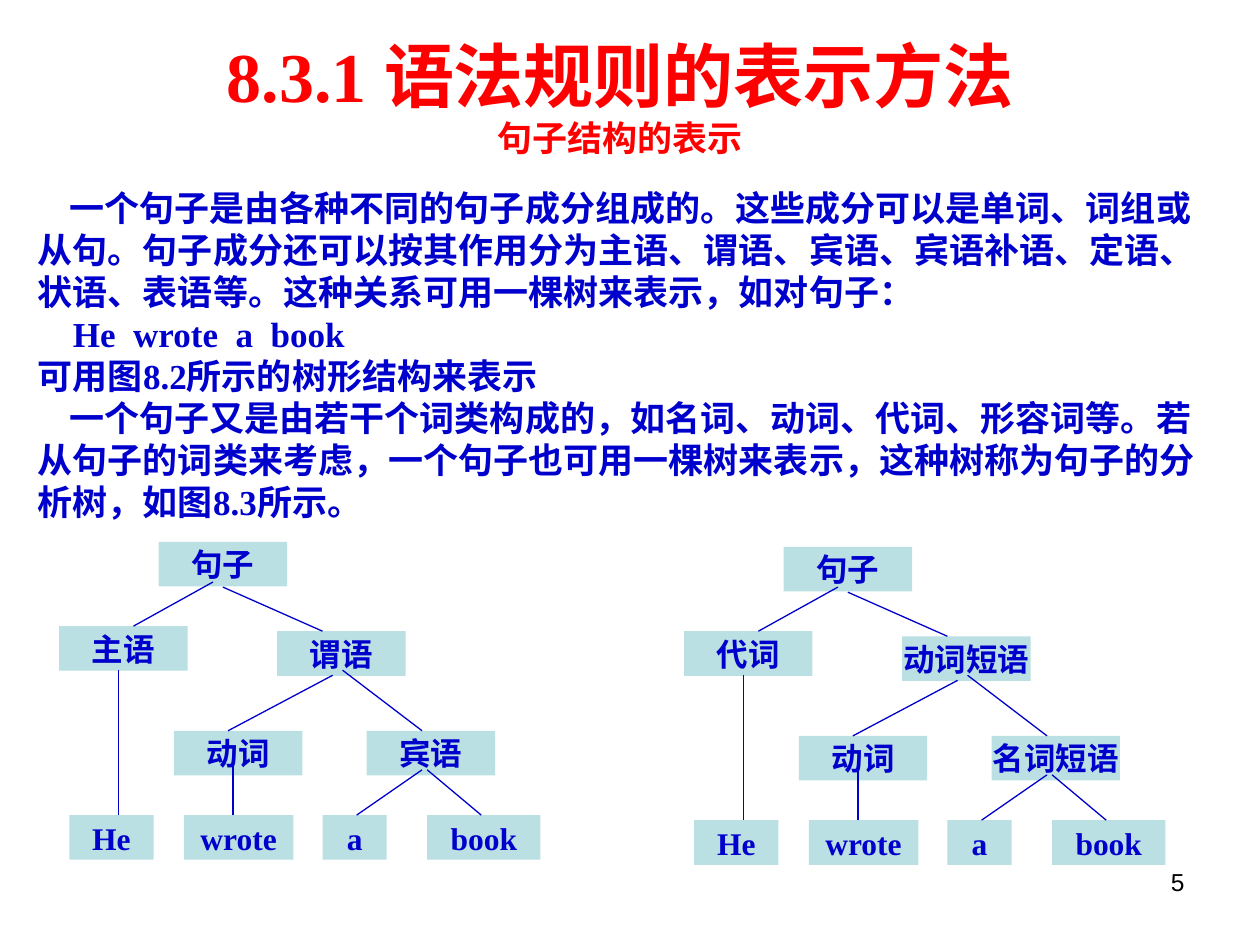
from lxml import etree
from pptx import Presentation
from pptx.dml.color import RGBColor
from pptx.enum import shapes, text
from pptx.oxml import ns
from pptx.util import Pt

HUES = {"red": "FF0000", "blue": "0000CC", "teal": "BBE0E3", "black": "000000"}
SERIF, SANS = "Times New Roman", "Arial"


def hue(name):
    return RGBColor.from_string(HUES[name])


def style(para, size, face, color, bold=True):
    for run in para.runs:
        font = run.font
        font.size, font.name, font.bold = Pt(size), face, bold
        font.color.rgb = hue(color)


prs = Presentation()
prs.slide_width, prs.slide_height = Pt(720), Pt(540)
slide = prs.slides.add_slide(prs.slide_layouts[1])

# Title and subtitle
title = slide.shapes.title
title.left, title.top, title.width, title.height = Pt(85), Pt(15.1), Pt(538.6), Pt(79.2)
frame = title.text_frame
frame.text = "8.3.1 语法规则的表示方法\n句子结构的表示"
frame.auto_size = text.MSO_AUTO_SIZE.SHAPE_TO_FIT_TEXT
frame.vertical_anchor = text.MSO_ANCHOR.MIDDLE
for para, size in zip(frame.paragraphs, (40, 20)):
    para.alignment = text.PP_ALIGN.CENTER
    para.space_before = Pt(0)
    style(para, size, SERIF, "red")

# Body text: wording and first-line indent
lines = [
    ("一个句子是由各种不同的句子成分组成的。这些成分可以是单词、词组或从句。"
     "句子成分还可以按其作用分为主语、谓语、宾语、宾语补语、定语、状语、表语等。"
     "这种关系可用一棵树来表示，如对句子：", 18),
    ("He  wrote  a  book", 20),
    ("可用图8.2所示的树形结构来表示", 0),
    ("一个句子又是由若干个词类构成的，如名词、动词、代词、形容词等。"
     "若从句子的词类来考虑，一个句子也可用一棵树来表示，"
     "这种树称为句子的分析树，如图8.3所示。", 18),
]
body = slide.placeholders[1]
body.left, body.top, body.width, body.height = Pt(14.4), Pt(103), Pt(691.9), Pt(199.4)
frame = body.text_frame
frame.text = "\n".join(line for line, _ in lines)
frame.auto_size = text.MSO_AUTO_SIZE.SHAPE_TO_FIT_TEXT
for para, (_, indent) in zip(frame.paragraphs, lines):
    props = para._p.get_or_add_pPr()
    props.set("marL", "0")
    props.set("indent", str(Pt(indent)))
    etree.SubElement(props, ns.qn("a:buNone"))
    para.space_before = Pt(0)
    style(para, 20, SERIF, "blue")

# Two trees of the same form: left, top, width of each node
parts = [(90.7, 309.6, 73.4), (33.8, 357.8, 73.4), (158.4, 360.7, 73.4),
         (99.4, 417.6, 73.4), (209.5, 417.6, 73.4)]
words = [(39.6, 465.8, 48.2), (105.1, 465.8, 62.6),
         (184.3, 465.8, 36.7), (244.1, 465.8, 64.8)]
links = [(121.7, 332.6, 76.3, 357.8), (127.4, 335.5, 184.3, 360.7),
         (190.1, 385.9, 130.3, 417.6), (195.8, 383, 241.2, 417.6),
         (67.7, 383, 67.7, 465.8), (133.2, 437, 133.2, 465.8),
         (241.2, 439.9, 203.8, 465.8), (244.1, 439.9, 275, 465.8)]
trees = [
    (0, 0, ["句子", "主语", "谓语", "动词", "宾语"]),
    (357.1, 2.9, ["句子", "代词", "动词短语", "动词", "名词短语"]),
]
for dx, dy, names in trees:
    tree = slide.shapes.add_group_shape().shapes
    labels = names + ["He", "wrote", "a", "book"]
    for i, ((x, y, w), label) in enumerate(zip(parts + words, labels)):
        node = tree.add_shape(shapes.MSO_SHAPE.RECTANGLE,
                              Pt(x + dx), Pt(y + dy), Pt(w), Pt(25.5))
        node.shadow.inherit = False
        node.fill.solid()
        node.fill.fore_color.rgb = hue("teal")
        node.line.fill.background()
        frame = node.text_frame
        frame.text = label
        frame.word_wrap = False
        frame.vertical_anchor = text.MSO_ANCHOR.MIDDLE
        para = frame.paragraphs[0]
        para.alignment = text.PP_ALIGN.CENTER
        style(para, 18, SANS if i < len(parts) else SERIF, "blue")
    for x1, y1, x2, y2 in links:
        link = tree.add_connector(shapes.MSO_CONNECTOR.STRAIGHT,
                                  Pt(x1 + dx), Pt(y1 + dy), Pt(x2 + dx), Pt(y2 + dy))
        link.line.color.rgb = hue("blue")
        link.line.width = Pt(0.75)
        etree.SubElement(link._element.spPr, ns.qn("a:effectLst"))

# Page number
page = slide.shapes.add_textbox(Pt(516.2), Pt(491.8), Pt(167.8), Pt(37.4))
frame = page.text_frame
frame.word_wrap = True
frame.text = "5"
frame.paragraphs[0].alignment = text.PP_ALIGN.RIGHT
style(frame.paragraphs[0], 14, SANS, "black", False)

prs.save("out.pptx")
